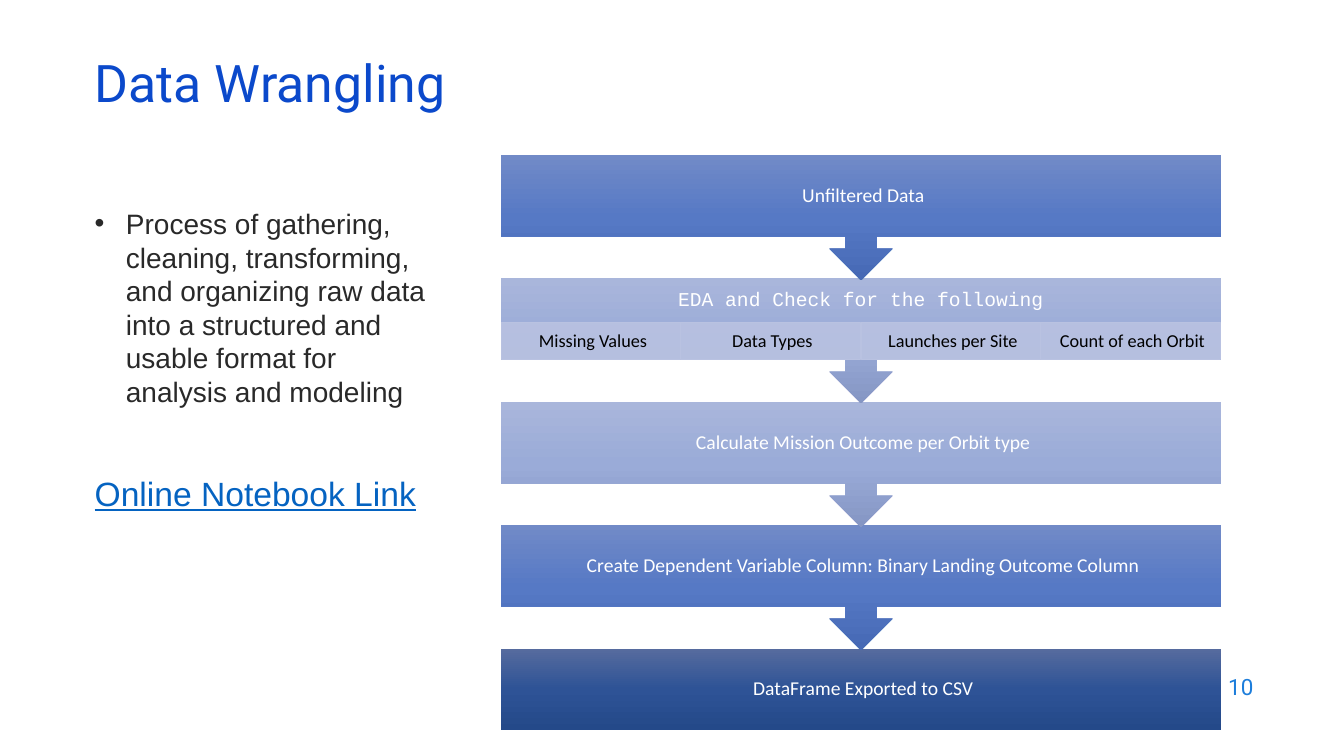
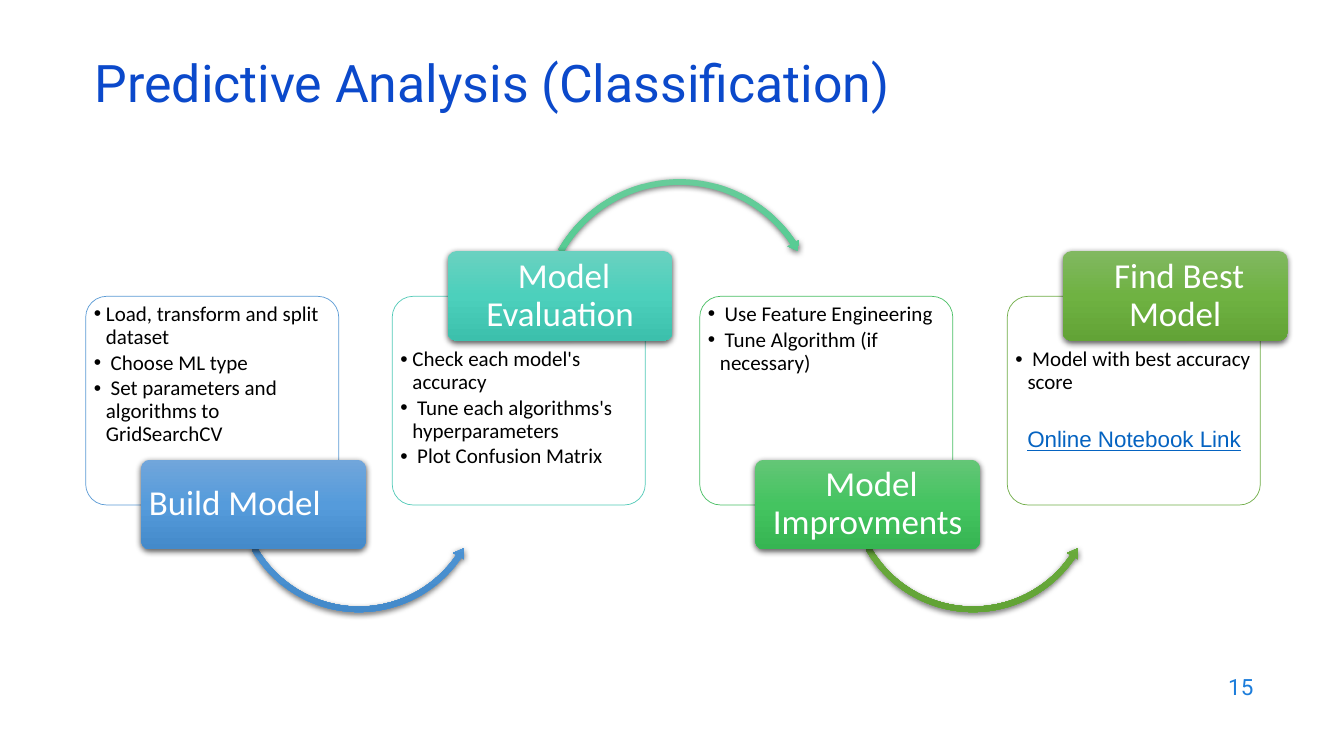
"""Build two slides: a data wrangling flow and a model selection process."""
from copy import deepcopy

from lxml.etree import SubElement
from pptx import Presentation
from pptx.dml.color import RGBColor
from pptx.enum.shapes import MSO_SHAPE
from pptx.enum.text import MSO_ANCHOR, MSO_AUTO_SIZE, PP_ALIGN
from pptx.oxml.ns import qn
from pptx.util import Pt

PX = 9144

WHITE = RGBColor(0xFF, 0xFF, 0xFF)
BLACK = RGBColor(0x00, 0x00, 0x00)
BODY = RGBColor(0x29, 0x29, 0x29)
TITLE = RGBColor(0x0B, 0x49, 0xCB)
NUMBER = RGBColor(0x1C, 0x7D, 0xDB)
LINK = RGBColor(0x05, 0x63, 0xC1)
CELL = RGBColor(0xB9, 0xC2, 0xE1)
BLUE_LINE = RGBColor(0x5B, 0x9B, 0xD5)
TEAL_LINE = RGBColor(0x52, 0xCA, 0xB8)
GREEN_LINE = RGBColor(0x49, 0xBF, 0x64)
OLIVE_LINE = RGBColor(0x70, 0xAD, 0x47)

NAVY = (RGBColor(0x56, 0x6B, 0x9E), RGBColor(0x2E, 0x53, 0x96), RGBColor(0x24, 0x49, 0x89))
ROYAL = (RGBColor(0x71, 0x8A, 0xC7), RGBColor(0x56, 0x79, 0xC5), RGBColor(0x46, 0x69, 0xB5))
PALE = (RGBColor(0xA9, 0xB6, 0xDB), RGBColor(0x9A, 0xAB, 0xD8), RGBColor(0x85, 0x96, 0xC4))
BLUE = (RGBColor(0x71, 0xA6, 0xDB), RGBColor(0x55, 0x9B, 0xDB), RGBColor(0x44, 0x8A, 0xCA))
TEAL = (RGBColor(0x6A, 0xD1, 0xC0), RGBColor(0x4C, 0xD0, 0xBC), RGBColor(0x3C, 0xC0, 0xAC))
MINT = (RGBColor(0x67, 0xCC, 0x9A), RGBColor(0x47, 0xCB, 0x8E), RGBColor(0x39, 0xBB, 0x7F))
GREEN = (RGBColor(0x64, 0xC6, 0x77), RGBColor(0x44, 0xC4, 0x60), RGBColor(0x36, 0xB5, 0x52))
OLIVE = (RGBColor(0x81, 0xB8, 0x61), RGBColor(0x6F, 0xB2, 0x42), RGBColor(0x62, 0xA3, 0x36))

STEPS = [
    (" Unfiltered Data", ROYAL),
    (" EDA and Check for the following ", PALE),
    (" Calculate Mission Outcome per Orbit type", PALE),
    (" Create Dependent Variable Column: Binary Landing Outcome Column", ROYAL),
    (" DataFrame Exported to CSV", NAVY),
]
CHECKS = [" Missing Values", " Data Types", " Launches per Site", " Count of each Orbit"]

STAGES = [
    ("Build Model", BLUE_LINE, BLUE, BLUE,
     ["Load, transform and split dataset", " Choose ML type",
      " Set parameters and algorithms to GridSearchCV"]),
    (" Model Evaluation", TEAL_LINE, TEAL, MINT,
     ["Check each model's accuracy", " Tune each algorithms's hyperparameters",
      " Plot Confusion Matrix"]),
    (" Model Improvments", GREEN_LINE, GREEN, OLIVE,
     [" Use Feature Engineering", " Tune Algorithm (if necessary)"]),
    (" Find Best Model", OLIVE_LINE, OLIVE, None,
     [" Model with best accuracy score"]),
]
LOWER_ARC = (0.022, 2.649, 20.404, 90.245, 0.026)
UPPER_ARC = (0.02, 2.337, 195.908, 125.755, 0.023)
LINK_TEXT = "Online Notebook Link"


def px(*values):
    """Turn px lengths into EMU."""
    return [value * PX for value in values]


def set_frame(tf, insets, anchor=MSO_ANCHOR.MIDDLE):
    """Set the wrapping, insets and anchor of a text frame."""
    tf.word_wrap = True
    tf.auto_size = MSO_AUTO_SIZE.NONE
    tf.vertical_anchor = anchor
    tf.margin_left, tf.margin_top, tf.margin_right, tf.margin_bottom = px(*insets)


def write(p, text, font, size, color, align=PP_ALIGN.LEFT, spacing=0.9, underline=False):
    """Write one formatted run into a paragraph."""
    p.alignment = align
    p.line_spacing = spacing
    r = p.add_run()
    r.text = text
    r.font.name = font
    r.font.size = Pt(size)
    r.font.color.rgb = color
    if underline:
        r.font.underline = True


def add_bullet(p, indent):
    """Give a paragraph a bullet with a hanging indent in px."""
    pPr = p._p.get_or_add_pPr()
    pPr.set("marL", str(indent * PX))
    pPr.set("indent", str(-indent * PX))
    SubElement(pPr, qn("a:buFont")).set("typeface", "Arial")
    SubElement(pPr, qn("a:buChar")).set("char", "•")


def add_text(slide, box, anchor=MSO_ANCHOR.TOP):
    """Add a text box and return its text frame."""
    tf = slide.shapes.add_textbox(*px(*box)).text_frame
    set_frame(tf, (10, 5, 10, 5), anchor)
    return tf


def add_link(slide, box, size):
    """Add the underlined notebook label in the link colour."""
    write(add_text(slide, box).paragraphs[0], LINK_TEXT, "Arial", size, LINK,
          spacing=1.0, underline=True)


def add_shape(slide, kind, box):
    """Add a preset shape without line or shadow."""
    sp = slide.shapes.add_shape(kind, *px(*box))
    sp.line.fill.background()
    sp.shadow.inherit = False
    return sp


def fill_gradient(sp, colors):
    """Fill a shape from top to bottom with three colours."""
    sp.fill.gradient()
    sp.fill.gradient_angle = 270
    first = sp._element.spPr.find(".//" + qn("a:gs"))
    first.addnext(deepcopy(first))
    for stop, color, position in zip(sp.fill.gradient_stops, colors, (0, 0.5, 1)):
        stop.color.rgb = color
        stop.position = position


def fill_solid(sp, color, line):
    """Fill a shape at 90 % opacity and give it a thin line."""
    sp.fill.solid()
    sp.fill.fore_color.rgb = color
    rgb = sp._element.spPr.find(qn("a:solidFill") + "/" + qn("a:srgbClr"))
    SubElement(rgb, qn("a:alpha")).set("val", "90000")
    sp.line.color.rgb = line
    sp.line.width = Pt(0.5)


def add_shadow(sp):
    """Give a shape a soft shadow below it."""
    effects = sp._element.spPr.find(qn("a:effectLst"))
    shadow = SubElement(effects, qn("a:outerShdw"), blurRad=str(Pt(4.5)),
                        dist=str(Pt(1.5)), dir="5400000", rotWithShape="0")
    rgb = SubElement(shadow, qn("a:srgbClr"), val="000000")
    SubElement(rgb, qn("a:alpha")).set("val", "63000")


def add_slide(prs, title, number):
    """Add a slide with its title and page number."""
    slide = prs.slides.add_slide(prs.slide_layouts[5])
    sp = slide.shapes.title
    sp.left, sp.top, sp.width, sp.height = px(84, 59, 1150, 60)
    set_frame(sp.text_frame, (10, 5, 10, 5))
    write(sp.text_frame.paragraphs[0], title, "Roboto", 37, TITLE, spacing=0.7)
    tf = add_text(slide, (953, 659, 300, 44), MSO_ANCHOR.MIDDLE)
    write(tf.paragraphs[0], number, "Roboto", 16, NUMBER, PP_ALIGN.RIGHT, 1.0)
    return slide


def add_step(slide, index, text, colors):
    """Add one step of the flow, with an arrow unless it is the last."""
    last = index == len(STEPS) - 1
    checked = index == 1
    kind = MSO_SHAPE.RECTANGLE if last else MSO_SHAPE.DOWN_ARROW_CALLOUT
    sp = add_shape(slide, kind, (497, 154 + 245 * index // 2, 714, 80 if last else 124))
    fill_gradient(sp, colors)
    set_frame(sp.text_frame, (11, 0, 11, 37 if checked else 0))
    write(sp.text_frame.paragraphs[0], text, "Courier New" if checked else "Calibri",
          14, WHITE, PP_ALIGN.CENTER)


def add_check(slide, index, text):
    """Add one cell of the row of checks."""
    sp = add_shape(slide, MSO_SHAPE.RECTANGLE, (497 + 357 * index // 2, 320, 178, 37))
    fill_solid(sp, CELL, CELL)
    set_frame(sp.text_frame, (10, 2, 10, 2))
    write(sp.text_frame.paragraphs[0], text, "Calibri", 13, BLACK, PP_ALIGN.CENTER)


def add_card(slide, left, raised, line, bullets):
    """Add the outlined card that lists the work of a stage."""
    sp = add_shape(slide, MSO_SHAPE.ROUNDED_RECTANGLE, (left, 294, 251, 207))
    sp.adjustments[0] = 0.1
    fill_solid(sp, WHITE, line)
    tf = sp.text_frame
    set_frame(tf, (2, 46 if raised else 1, 2, 0), MSO_ANCHOR.TOP)
    for i, text in enumerate(bullets):
        p = tf.add_paragraph() if i else tf.paragraphs[0]
        add_bullet(p, 12)
        p.space_after = Pt(2.25)
        write(p, text, "Calibri", 15, BLACK)


def add_arc(slide, left, raised, colors):
    """Add the curved arrow that leads to the next stage."""
    if raised:
        kind, box, arc = MSO_SHAPE.CIRCULAR_ARROW, (left + 143, 174, 284, 284), UPPER_ARC
    else:
        kind, box, arc = MSO_SHAPE.LEFT_CIRCULAR_ARROW, (left + 145, 359, 252, 252), LOWER_ARC
    sp = add_shape(slide, kind, box)
    for i, value in enumerate(arc):
        sp.adjustments[i] = value
    fill_gradient(sp, colors)
    add_shadow(sp)


def add_label(slide, left, raised, text, colors, align):
    """Add the coloured name plate of a stage."""
    box = (left + 55, 249 if raised else 456, 223, 89)
    sp = add_shape(slide, MSO_SHAPE.ROUNDED_RECTANGLE, box)
    sp.adjustments[0] = 0.1
    fill_gradient(sp, colors)
    add_shadow(sp)
    set_frame(sp.text_frame, (5, 3, 5, 3))
    write(sp.text_frame.paragraphs[0], text, "Calibri", 25, WHITE, align)


def build_wrangling(prs):
    """Build the data wrangling slide."""
    slide = add_slide(prs, "Data Wrangling", "10")
    p = add_text(slide, (84, 200, 358, 240)).paragraphs[0]
    add_bullet(p, 31)
    write(p, "Process of gathering, cleaning, transforming, and organizing raw data "
          "into a structured and usable format for analysis and modeling",
          "Arial", 20, BODY, spacing=Pt(24))
    for i, (text, colors) in reversed(list(enumerate(STEPS))):
        add_step(slide, i, text, colors)
    for i, text in enumerate(CHECKS):
        add_check(slide, i, text)
    add_link(slide, (84, 464, 371, 50), 24)


def build_classification(prs):
    """Build the predictive analysis slide."""
    slide = add_slide(prs, "Predictive Analysis (Classification)", "15")
    for i, (name, line, colors, arc_colors, bullets) in enumerate(STAGES):
        left, raised = 85 + 914 * i // 3, i % 2 == 1
        add_card(slide, left, raised, line, bullets)
        if arc_colors:
            add_arc(slide, left, raised, arc_colors)
        add_label(slide, left, raised, name, colors,
                  PP_ALIGN.CENTER if i else PP_ALIGN.LEFT)
    add_link(slide, (1009, 417, 265, 37), 16)


def main():
    """Build and save the presentation."""
    prs = Presentation()
    prs.slide_width, prs.slide_height = px(1333, 750)
    build_wrangling(prs)
    build_classification(prs)
    prs.save("out.pptx")


if __name__ == "__main__":
    main()
